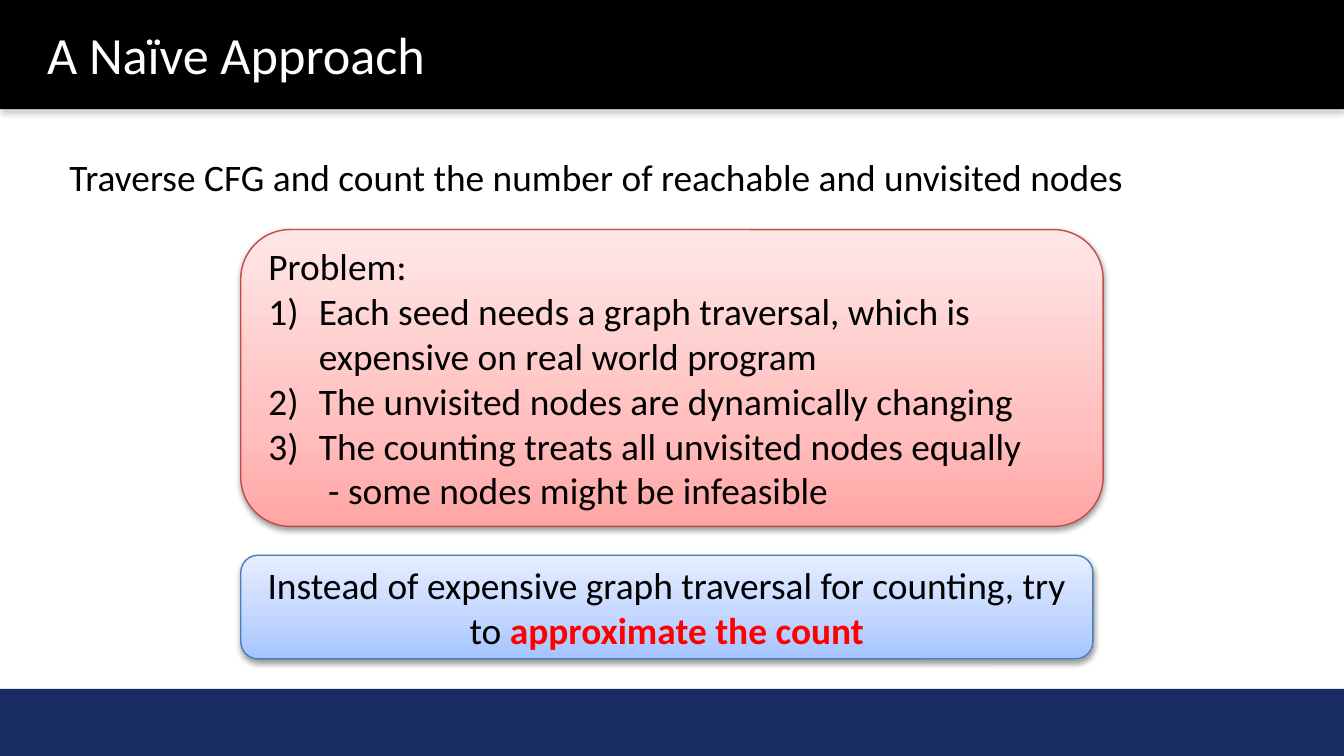
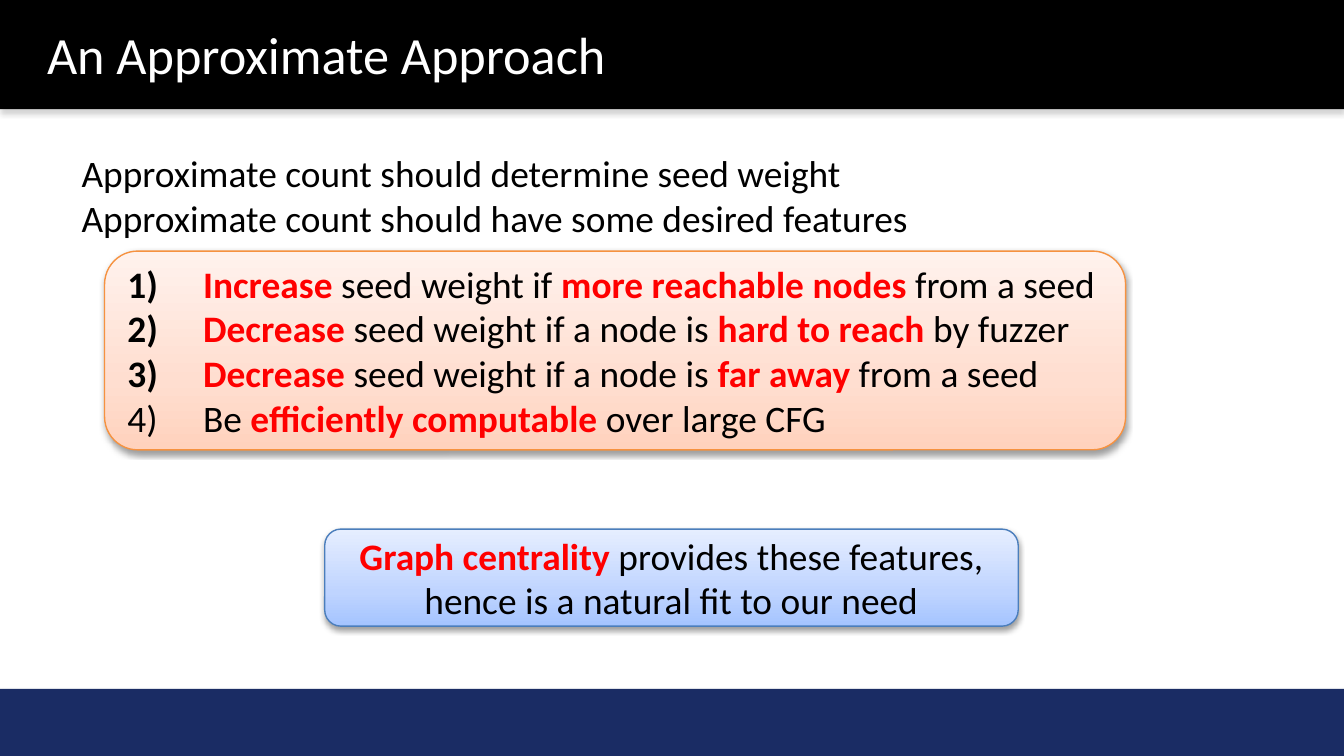
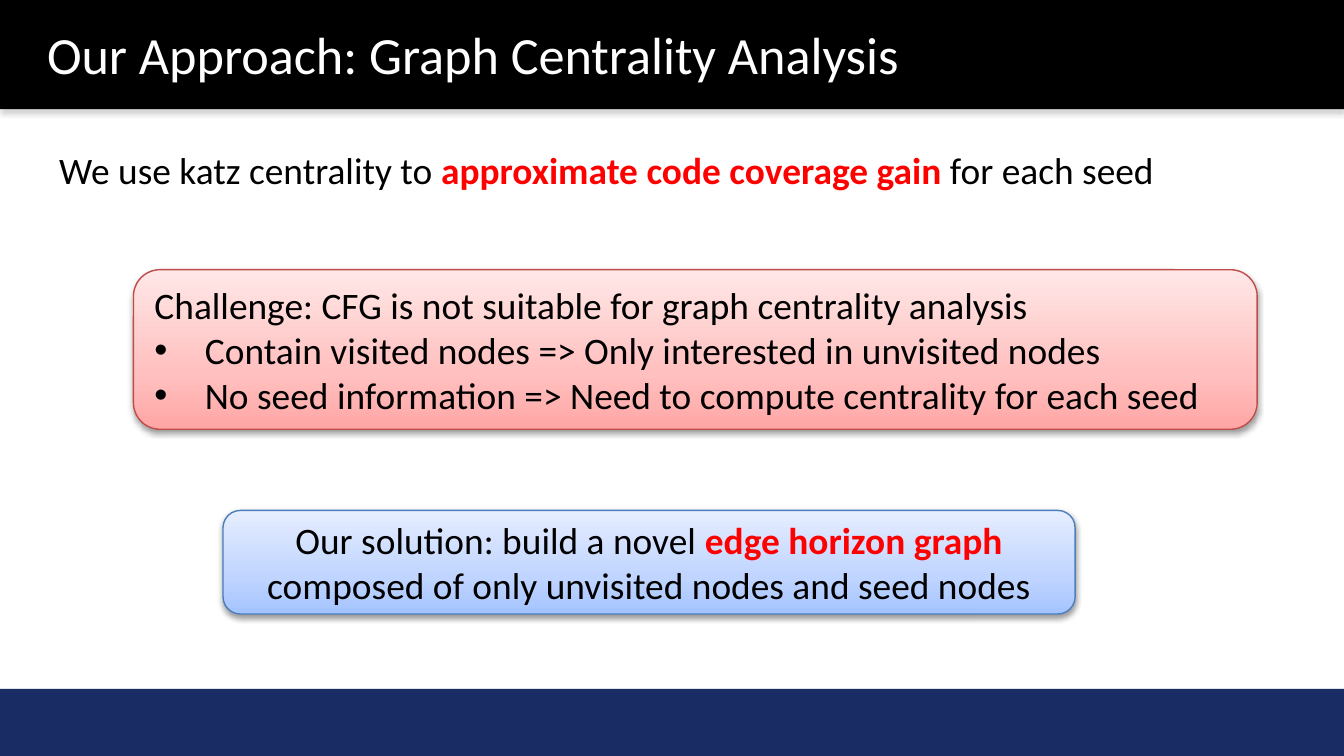
from lxml import etree
from pptx import Presentation
from pptx.dml.color import RGBColor
from pptx.enum.shapes import MSO_SHAPE
from pptx.enum.text import MSO_ANCHOR, MSO_AUTO_SIZE, PP_ALIGN
from pptx.oxml.ns import qn
from pptx.util import Pt

RECTANGLE, ROUNDED = MSO_SHAPE.RECTANGLE, MSO_SHAPE.ROUNDED_RECTANGLE
LEFT, CENTER = PP_ALIGN.LEFT, PP_ALIGN.CENTER
TOP, MIDDLE = MSO_ANCHOR.TOP, MSO_ANCHOR.MIDDLE
NO_AUTOFIT = MSO_AUTO_SIZE.NONE

# Shared style
FONT = "Calibri"
TITLE_SIZE, TEXT_SIZE = 28, 20
WIDTH, HEIGHT = 720, 405
HEADER_HEIGHT, FOOTER_HEIGHT = 58.5, 36
BLACK = RGBColor(0x00, 0x00, 0x00)
WHITE = RGBColor(0xFF, 0xFF, 0xFF)
RED = RGBColor(0xFF, 0x00, 0x00)
GRAY = RGBColor(0x80, 0x80, 0x80)
NAVY = RGBColor(0x1A, 0x2C, 0x64)

# Callout themes: outline, then gradient colours from bottom to top
STOPS = (0, 35, 100)
SOLUTION = (RGBColor(0x4B, 0x7E, 0xBC), RGBColor(0xA4, 0xC4, 0xFF),
            RGBColor(0xBF, 0xD4, 0xFF), RGBColor(0xE6, 0xEE, 0xFF))
PROBLEM = (RGBColor(0xBF, 0x4C, 0x48), RGBColor(0xFF, 0xA6, 0xA5),
           RGBColor(0xFF, 0xC0, 0xBF), RGBColor(0xFF, 0xE7, 0xE7))
FEATURES = (RGBColor(0xF6, 0x92, 0x40), RGBColor(0xFF, 0xD2, 0xBD),
            RGBColor(0xFF, 0xDE, 0xD0), RGBColor(0xFF, 0xF2, 0xED))

# List markers
NUMBER = ("a:buAutoNum", {"type": "arabicParenR"})
BULLET = ("a:buChar", {"char": "•"})
NO_MARKER = ("a:buNone", {})


def add_node(parent, tag, **attributes):
    return etree.SubElement(parent, qn(tag),
                            {key: str(value) for key, value in attributes.items()})


def add_color(parent, color, alpha=100):
    node = add_node(parent, "a:srgbClr", val=color)
    if alpha < 100:
        add_node(node, "a:alpha", val=alpha * 1000)


def place(shape, left, top, width, height):
    shape.left, shape.top = Pt(left), Pt(top)
    shape.width, shape.height = Pt(width), Pt(height)


def add_shadow(shape, color, alpha, distance):
    shape.shadow.inherit = False
    effects = shape.element.spPr.find(qn("a:effectLst"))
    shadow = add_node(effects, "a:outerShdw", blurRad=Pt(3.1), dist=Pt(distance),
                      dir=90 * 60000, rotWithShape=0)
    add_color(shadow, color, alpha)


def fill_gradient(shape, colors):
    gradient = etree.Element(qn("a:gradFill"), rotWithShape="1")
    stops = add_node(gradient, "a:gsLst")
    for position, color in zip(STOPS, colors):
        add_color(add_node(stops, "a:gs", pos=position * 1000), color)
    add_node(gradient, "a:lin", ang=270 * 60000, scaled=0)
    shape.element.spPr.find(qn("a:prstGeom")).addnext(gradient)


def add_runs(paragraph, text, size, color):
    """Parts of the text between asterisks become bold red."""
    for index, part in enumerate(text.split("*")):
        if part:
            emphasised = index % 2 == 1
            run = paragraph.add_run()
            run.text = part
            run.font.name, run.font.size = FONT, Pt(size)
            run.font.bold = emphasised
            run.font.color.rgb = RED if emphasised else color


def format_paragraph(paragraph, align, marker=NO_MARKER, margin=0, hanging=0):
    paragraph.alignment = align
    paragraph.space_before = Pt(0)
    properties = paragraph.element.get_or_add_pPr() if hasattr(
        paragraph, "element") else paragraph._p.get_or_add_pPr()
    properties.set("marL", str(Pt(margin)))
    properties.set("indent", str(-Pt(hanging)))
    if marker is not NO_MARKER:
        add_color(add_node(properties, "a:buClr"), BLACK)
        add_node(properties, "a:buFont",
                 typeface="Arial" if marker is BULLET else "+mj-lt")
    tag, attributes = marker
    add_node(properties, tag, **attributes)


def write(frame, lines, align=LEFT, size=TEXT_SIZE, color=BLACK):
    """Each line is a text, or a text with marker, margin and hanging indent."""
    frame.word_wrap = True
    for index, line in enumerate(lines):
        text, *layout = (line,) if isinstance(line, str) else line
        paragraph = frame.add_paragraph() if index else frame.paragraphs[0]
        format_paragraph(paragraph, align, *layout)
        add_runs(paragraph, text, size, color)


def add_band(slide, top, height, color):
    band = slide.shapes.add_shape(RECTANGLE, 0, Pt(top), Pt(WIDTH), Pt(height))
    band.fill.solid()
    band.fill.fore_color.rgb = color
    band.line.fill.background()
    add_shadow(band, GRAY, 35, 1.8)
    # Bands lie behind the placeholders
    slide.shapes.title.element.addprevious(band.element)


def fill_placeholder(holder, box, lines, margin_y, **style):
    place(holder, *box)
    frame = holder.text_frame
    frame.auto_size, frame.vertical_anchor = NO_AUTOFIT, TOP
    frame.margin_left = frame.margin_right = Pt(7.2)
    frame.margin_top = frame.margin_bottom = Pt(margin_y)
    write(frame, lines, **style)


def add_slide(deck, title, lead, lead_left, lead_top, lead_height):
    slide = deck.slides.add_slide(deck.slide_layouts[1])
    add_band(slide, 0, HEADER_HEIGHT, BLACK)
    add_band(slide, HEIGHT - FOOTER_HEIGHT, FOOTER_HEIGHT, NAVY)
    fill_placeholder(slide.shapes.title, (18, 8.5, 624, 41), [title], 3.6,
                     size=TITLE_SIZE, color=WHITE)
    fill_placeholder(slide.placeholders[1],
                     (lead_left, lead_top, WIDTH - lead_left, lead_height),
                     lead, 7.2)
    return slide


def add_callout(slide, box, theme, lines, align=LEFT):
    callout = slide.shapes.add_shape(ROUNDED, *map(Pt, box))
    outline, *gradient = theme
    fill_gradient(callout, gradient)
    callout.line.color.rgb = outline
    callout.line.width = Pt(0.75)
    add_shadow(callout, BLACK, 38, 1.6)
    callout.text_frame.vertical_anchor = MIDDLE
    write(callout.text_frame, lines, align)


def marked(marker, indent, texts):
    return [(text, marker, indent, indent) for text in texts]


def main():
    deck = Presentation()
    deck.slide_width, deck.slide_height = Pt(WIDTH), Pt(HEIGHT)

    # Naïve approach
    naive = add_slide(
        deck, "A Naïve Approach",
        ["Traverse CFG and count the number of reachable and unvisited nodes"],
        30, 75.5, 46)
    add_callout(naive, (129, 297.5, 456.5, 55.5), SOLUTION, [
        "Instead of expensive graph traversal for counting, try to "
        "*approximate the count*"], CENTER)
    add_callout(naive, (129, 123, 462, 159), PROBLEM, [
        "Problem:",
        *marked(NUMBER, 27, [
            "Each seed needs a graph traversal, which is expensive on real world program",
            "The unvisited nodes are dynamically changing",
            "The counting treats all unvisited nodes equally"]),
        ("- some nodes might be infeasible", NO_MARKER, 32)])

    # Approximate approach
    approximate = add_slide(
        deck, "An Approximate Approach",
        ["Approximate count should determine seed weight",
         "Approximate count should have some desired features"],
        36.5, 73.5, 60.5)
    add_callout(approximate, (174, 283.5, 371.5, 52), SOLUTION, [
        "*Graph centrality* provides these features, "
        "hence is a natural fit to our need"], CENTER)
    add_callout(approximate, (56, 134.5, 547, 106.5), FEATURES, marked(NUMBER, 40.5, [
        "*Increase* seed weight if *more reachable nodes* from a seed",
        "*Decrease* seed weight if a node is *hard to reach* by fuzzer",
        "*Decrease* seed weight if a node is *far away* from a seed",
        "Be *efficiently computable* over large CFG"]))

    # Graph centrality analysis
    centrality = add_slide(
        deck, "Our Approach: Graph Centrality Analysis",
        ["We use katz centrality to *approximate code coverage gain* for each seed"],
        24.5, 71.5, 46)
    add_callout(centrality, (119.5, 273.5, 456.5, 55.5), SOLUTION, [
        "Our solution: build a novel *edge horizon graph* "
        "composed of only unvisited nodes and seed nodes"], CENTER)
    add_callout(centrality, (71.5, 144.5, 602, 85.5), PROBLEM, [
        "Challenge: CFG is not suitable for graph centrality analysis",
        *marked(BULLET, 27, [
            "Contain visited nodes => Only interested in unvisited nodes",
            "No seed information => Need to compute centrality for each seed"])])

    deck.save("out.pptx")


if __name__ == "__main__":
    main()
